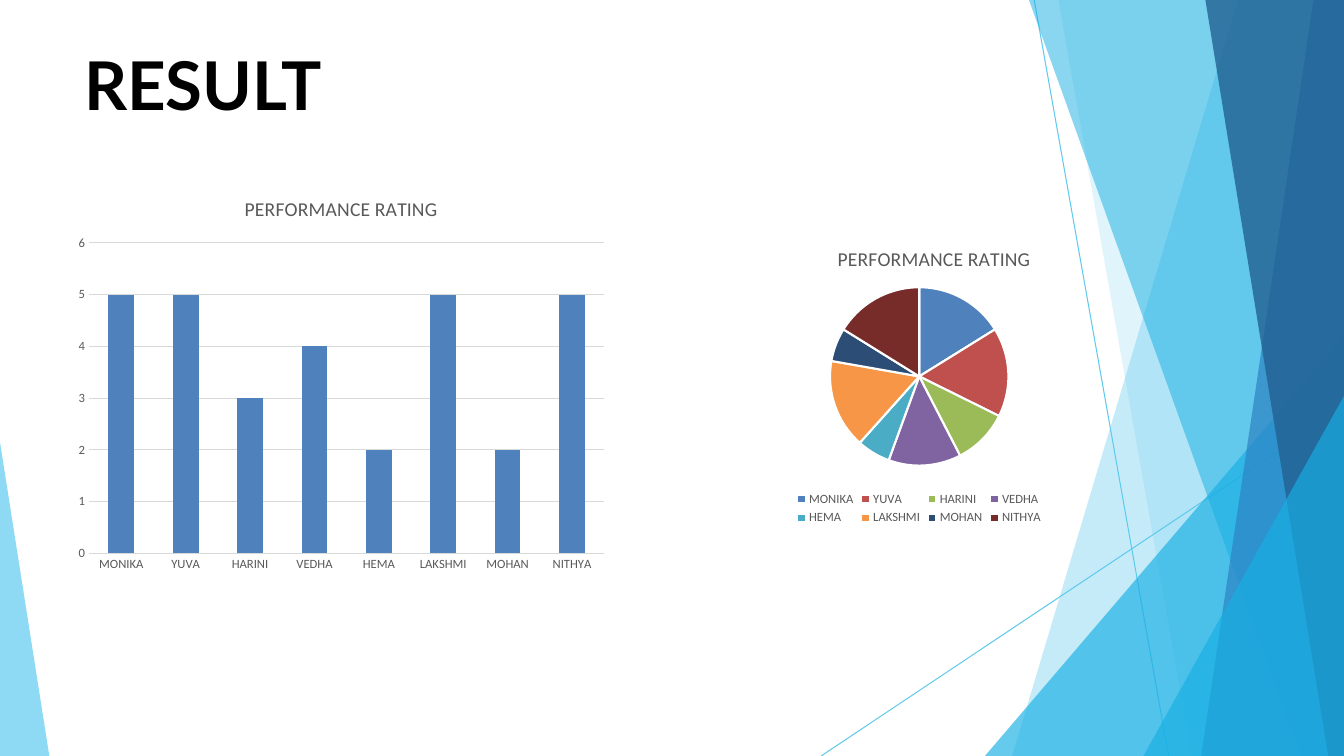
import pptx
import pptx.chart.data
import pptx.dml.color
import pptx.enum.chart
import pptx.enum.text
import pptx.oxml
import pptx.oxml.ns
import pptx.util
from dataclasses import dataclass

PX = 9525
NAMES = ["MONIKA", "YUVA", "HARINI", "VEDHA", "HEMA", "LAKSHMI", "MOHAN", "NITHYA"]
RATINGS = [5, 5, 3, 4, 2, 5, 2, 5]
SHARES = [16, 16, 10, 13, 6, 16, 6, 16]
CHART_TITLE = "PERFORMANCE RATING"


@dataclass
class Theme:
    """Colours, fonts and type sizes."""
    white: str = "FFFFFF"
    sky: str = "5FCAEE"
    cyan: str = "17AFE3"
    blue: str = "2D83C3"
    navy: str = "226192"
    bar: str = "4F81BD"
    grid: str = "D9D9D9"
    slices: tuple = ("4F81BD", "C0504D", "9BBB59", "8064A2",
                     "4BACC6", "F79646", "2C4D75", "772C2A")
    title: tuple = ("Lato", 48, "000000", True)
    chart_title: tuple = ("Calibri", 14, "595959", False)
    label: tuple = ("Calibri", 9, "595959", False)


THEME = Theme()


def rgb(value):
    """Return a colour from its hex value."""
    return pptx.dml.color.RGBColor.from_string(value)


def set_attrs(obj, values):
    """Set attributes from a dict of format values."""
    for name, value in values.items():
        setattr(obj, name, value)


def set_font(font, style):
    """Apply a theme type style to a font."""
    name, size, color, bold = style
    set_attrs(font, {"name": name, "size": pptx.util.Pt(size), "bold": bold})
    font.color.rgb = rgb(color)


def set_line(line, color, width):
    """Give a line its colour and width in points."""
    line.color.rgb = rgb(color)
    line.width = pptx.util.Pt(width)


def set_layout(element, inner=False, **values):
    """Place a chart part by fractions of the chart area."""
    for old in element.findall(pptx.oxml.ns.qn("c:layout")):
        element.remove(old)
    tags = '<c:layoutTarget val="inner"/>' if inner else ""
    tags += '<c:xMode val="edge"/><c:yMode val="edge"/>'
    tags += "".join(f'<c:{key} val="{value}"/>' for key, value in values.items())
    layout = pptx.oxml.parse_xml(
        f'<c:layout {pptx.oxml.ns.nsdecls("c")}><c:manualLayout>{tags}'
        '</c:manualLayout></c:layout>')
    element.insert(0 if inner else 1, layout)


def add_facet(s, points, color, alpha):
    """Add a see-through polygon."""
    builder = s.shapes.build_freeform(*points[0], scale=PX)
    builder.add_line_segments(points[1:], close=True)
    sp = builder.convert_to_shape()
    sp.shadow.inherit = False
    sp.fill.solid()
    sp.fill.fore_color.rgb = rgb(color)
    sp.line.fill.background()
    node = sp.fill._xPr.find(".//" + pptx.oxml.ns.qn("a:srgbClr"))
    node.append(pptx.oxml.parse_xml(
        f'<a:alpha {pptx.oxml.ns.nsdecls("a")} val="{alpha * 1000}"/>'))


def add_backdrop(s, x, y, w, h):
    """Draw the thin rays and the overlapping facets."""
    right, bottom = x + w, y + h
    rays = [(x + 985, y, x + 1113, bottom), (right, y + 388, x + 782, bottom)]
    for ray in rays:
        cx = s.shapes.add_connector(1, *(v * PX for v in ray))
        set_line(cx.line, THEME.sky, 0.75)
        cx._element.spPr.append(pptx.oxml.parse_xml(
            f'<a:effectLst {pptx.oxml.ns.nsdecls("a")}/>'))
    facets = [
        (1179, 0, 964, THEME.sky, 36),
        (1008, 0, 1135, THEME.sky, 20),
        (1280, 320, 938, THEME.cyan, 66),
        (980, 0, 1239, THEME.cyan, 50),
        (1251, 0, 1144, THEME.blue, 70),
        (1148, 0, 1265, THEME.navy, 80),
        (1280, 377, 1089, THEME.cyan, 66),
    ]
    for top_x, top_y, foot_x, color, alpha in facets:
        points = [(x + top_x, y + top_y), (x + foot_x, bottom), (right, bottom)]
        if top_x < w:
            points.append((right, y + top_y))
        add_facet(s, points, color, alpha)
    add_facet(s, [(x, y + 421), (x, bottom), (x + 47, bottom)], THEME.sky, 70)


def add_title(s, x, y, w, h):
    """Place and format the slide title."""
    sp = s.shapes.title
    set_attrs(sp, {"left": x * PX, "top": y * PX, "width": w * PX, "height": h * PX})
    tf = sp.text_frame
    set_attrs(tf, {"margin_left": 0, "margin_right": 0, "margin_top": 0,
                   "margin_bottom": 0, "word_wrap": True,
                   "vertical_anchor": pptx.enum.text.MSO_ANCHOR.MIDDLE,
                   "auto_size": pptx.enum.text.MSO_AUTO_SIZE.SHAPE_TO_FIT_TEXT})
    p = tf.paragraphs[0]
    p.alignment = pptx.enum.text.PP_ALIGN.LEFT
    r = p.add_run()
    r.text = "RESULT"
    set_font(r.font, THEME.title)


def add_chart(s, kind, values, x, y, w, h):
    """Add a titled one-series chart and return it."""
    data = pptx.chart.data.CategoryChartData()
    data.categories = NAMES
    data.add_series(CHART_TITLE, values)
    box = (v * PX for v in (x, y, w, h))
    chart = s.shapes.add_chart(kind, *box, data).chart
    set_font(chart.font, THEME.label)
    chart.has_title = True
    r = chart.chart_title.text_frame.paragraphs[0].add_run()
    r.text = CHART_TITLE
    set_font(r.font, THEME.chart_title)
    return chart


def add_rating_bars(s, x, y, w, h):
    """Add the column chart of ratings."""
    kind = pptx.enum.chart.XL_CHART_TYPE.COLUMN_CLUSTERED
    chart = add_chart(s, kind, RATINGS, x, y, w, h)
    chart.has_legend = False
    plot = chart.plots[0]
    set_attrs(plot, {"gap_width": 150, "vary_by_categories": False})
    fill = plot.series[0].format.fill
    fill.solid()
    fill.fore_color.rgb = rgb(THEME.bar)
    for axis in (chart.category_axis, chart.value_axis):
        axis.major_tick_mark = pptx.enum.chart.XL_TICK_MARK.NONE
        axis.format.line.fill.background()
        set_font(axis.tick_labels.font, THEME.label)
    set_attrs(chart.value_axis, {"minimum_scale": 0, "maximum_scale": 6,
                                 "major_unit": 1, "has_major_gridlines": True})
    set_line(chart.value_axis.major_gridlines.format.line, THEME.grid, 0.75)
    set_layout(chart._chartSpace.chart.plotArea, inner=True,
               x=0.04, y=0.16, w=0.94, h=0.77)


def add_rating_pie(s, x, y, w, h):
    """Add the pie chart of rating shares."""
    kind = pptx.enum.chart.XL_CHART_TYPE.PIE
    chart = add_chart(s, kind, SHARES, x, y, w, h)
    chart.has_legend = True
    set_attrs(chart.legend, {"include_in_layout": False,
                             "position": pptx.enum.chart.XL_LEGEND_POSITION.BOTTOM})
    set_font(chart.legend.font, THEME.label)
    plot = chart.plots[0]
    plot.vary_by_categories = True
    for i, color in enumerate(THEME.slices):
        fmt = plot.series[0].points[i].format
        fmt.fill.solid()
        fmt.fill.fore_color.rgb = rgb(color)
        set_line(fmt.line, THEME.white, 1.5)
    set_layout(chart.chart_title._element, x=0.31, y=0.05)
    set_layout(chart._chartSpace.chart.plotArea, inner=True,
               x=0.3, y=0.2, w=0.4, h=0.59)


def main():
    """Build and save the result slide."""
    prs = pptx.Presentation()
    set_attrs(prs, {"slide_width": 1280 * PX, "slide_height": 720 * PX})
    s = prs.slides.add_slide(prs.slide_layouts[5])
    add_backdrop(s, 0, 0, 1280, 720)
    add_title(s, 80, 40, 1121, 80)
    add_rating_bars(s, 64, 170, 522, 384)
    add_rating_pie(s, 662, 216, 427, 288)
    prs.save("out.pptx")


if __name__ == "__main__":
    main()
